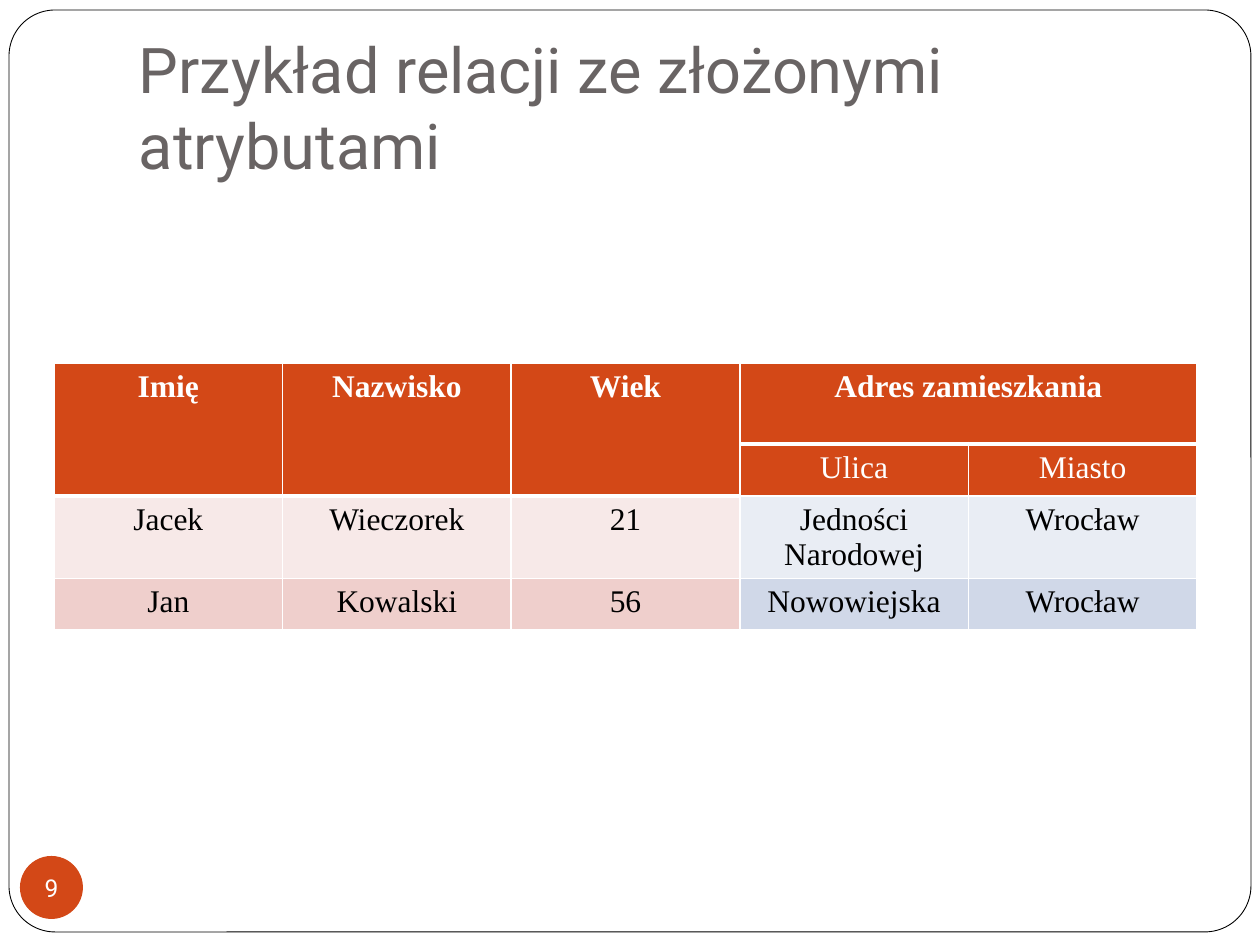
from dataclasses import dataclass

from lxml.etree import SubElement
from pptx import Presentation
from pptx.dml.color import RGBColor
from pptx.enum.shapes import MSO_SHAPE
from pptx.enum.text import MSO_ANCHOR, MSO_AUTO_SIZE, PP_ALIGN
from pptx.oxml.ns import qn
from pptx.util import Emu, Pt


@dataclass(frozen=True)
class Theme:
    accent: str = "D34817"
    white: str = "FFFFFF"
    black: str = "000000"
    heading: str = "696464"
    person_bands: tuple = ("F7E9E8", "EFCFCC")
    address_bands: tuple = ("E9EDF4", "D0D8E8")
    heading_font: str = "Roboto"
    table_font: str = "Times New Roman"
    heading_size: int = 36
    table_size: int = 18
    number_size: int = 14
    thin: int = 1
    thick: int = 3


theme = Theme()
PX = 914400 / 126


def px(*lengths):
    return [Emu(round(length * PX)) for length in lengths]


def write(paragraph, text, font, size, color, align, bold=False):
    paragraph.alignment = align
    run = paragraph.add_run()
    run.text = text
    run.font.name = font
    run.font.size = Pt(size)
    run.font.bold = bold
    run.font.color.rgb = RGBColor.from_string(color)


prs = Presentation()
prs.slide_width, prs.slide_height = px(1260, 945)
slide = prs.slides.add_slide(prs.slide_layouts[5])

title = slide.shapes.title
title.left, title.top, title.width, title.height = px(126, 38, 1071, 157)
heading = title.text_frame
heading.word_wrap = True
heading.auto_size = MSO_AUTO_SIZE.NONE
heading.vertical_anchor = MSO_ANCHOR.BOTTOM
heading.margin_left, heading.margin_top, heading.margin_right, heading.margin_bottom = px(13, 6, 13, 13)
write(heading.paragraphs[0], "Przykład relacji ze złożonymi atrybutami",
      theme.heading_font, theme.heading_size, theme.heading, PP_ALIGN.LEFT)

frame = slide.shapes.add_shape(MSO_SHAPE.ROUNDED_RECTANGLE, *px(9, 10, 1242, 922))
frame.adjustments[0] = 0.05
frame.shadow.inherit = False
frame.fill.solid()
frame.fill.fore_color.rgb = RGBColor.from_string(theme.white)
frame.line.color.rgb = RGBColor.from_string(theme.black)
frame.line.width = Pt(0.5)
title.element.addprevious(frame.element)

records = [
    ["Imię", "Nazwisko", "Wiek", "Adres zamieszkania", ""],
    ["", "", "", "Ulica", "Miasto"],
    ["Jacek", "Wieczorek", "21", "Jedności Narodowej", "Wrocław"],
    ["Jan", "Kowalski", "56", "Nowowiejska", "Wrocław"],
]
row_heights = px(81, 52, 82, 51)
header_rows = 2
person_columns = 3

people = slide.shapes.add_table(len(records), len(records[0]),
                                *px(54, 363, 1143, 266)).table
for row, height in zip(people.rows, row_heights):
    row.height = height
for column in range(person_columns):
    people.cell(0, column).merge(people.cell(1, column))
people.cell(0, 3).merge(people.cell(0, 4))

for r, record in enumerate(records):
    for c, value in enumerate(record):
        cell = people.cell(r, c)
        is_header = r < header_rows
        is_person = c < person_columns
        header_end = header_rows if is_person else 1
        widths = {
            "lnL": theme.thin,
            "lnR": theme.thin,
            "lnT": theme.thick if r == header_end else theme.thin,
            "lnB": theme.thick if r < header_end else theme.thin,
        }
        properties = cell._tc.get_or_add_tcPr()
        for side, width in widths.items():
            border = SubElement(properties, qn(f"a:{side}"), w=str(Pt(width)))
            SubElement(SubElement(border, qn("a:solidFill")), qn("a:srgbClr"), val=theme.white)
        bands = theme.person_bands if is_person else theme.address_bands
        fill = theme.accent if is_header else bands[r - header_rows]
        cell.fill.solid()
        cell.fill.fore_color.rgb = RGBColor.from_string(fill)
        if value:
            write(cell.text_frame.paragraphs[0], value, theme.table_font, theme.table_size,
                  theme.white if is_header else theme.black, PP_ALIGN.CENTER, bold=r == 0)

badge = slide.shapes.add_shape(MSO_SHAPE.OVAL, *px(20, 856, 63, 63))
badge.shadow.inherit = False
badge.fill.solid()
badge.fill.fore_color.rgb = RGBColor.from_string(theme.accent)
badge.line.fill.background()
page_number = badge.text_frame
page_number.word_wrap = False
page_number.vertical_anchor = MSO_ANCHOR.MIDDLE
page_number.margin_left = page_number.margin_right = 0
page_number.margin_top = page_number.margin_bottom = 0
write(page_number.paragraphs[0], "9", theme.heading_font, theme.number_size,
      theme.white, PP_ALIGN.CENTER)

prs.save("out.pptx")
